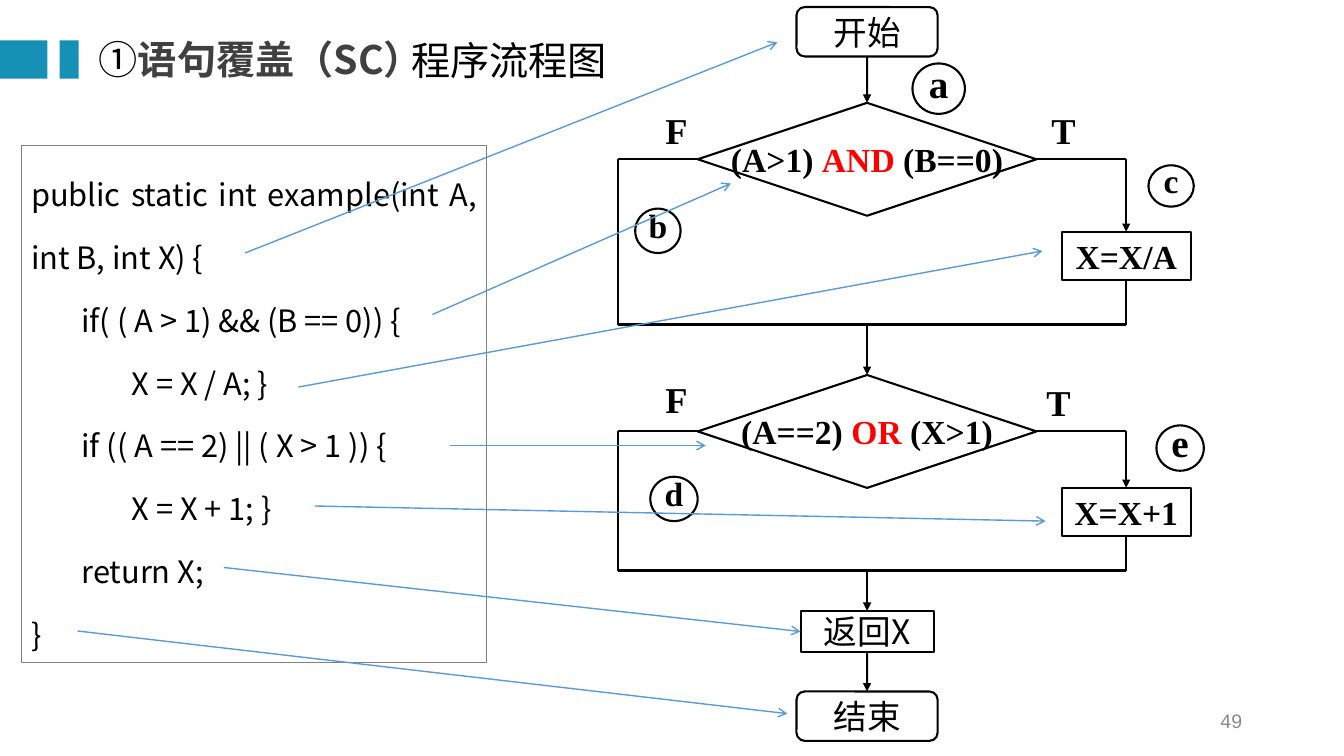
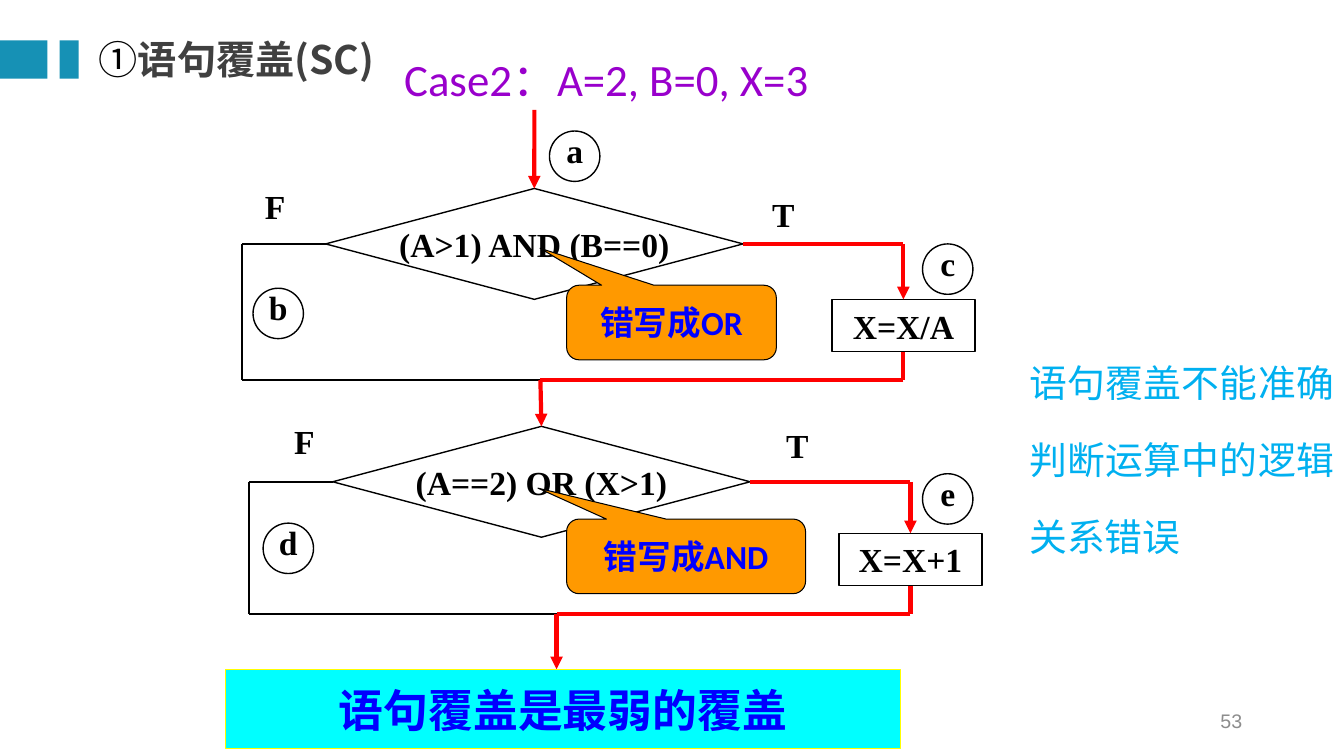
from dataclasses import dataclass

from lxml.etree import SubElement
from pptx import Presentation
from pptx.dml.color import RGBColor
from pptx.enum.shapes import MSO_CONNECTOR, MSO_SHAPE
from pptx.enum.text import MSO_ANCHOR, PP_ALIGN
from pptx.oxml.ns import qn
from pptx.util import Inches, Pt

BLACK = RGBColor(0x00, 0x00, 0x00)
WHITE = RGBColor(0xFF, 0xFF, 0xFF)
RED = RGBColor(0xFF, 0x00, 0x00)
BLUE = RGBColor(0x00, 0x00, 0xFF)
TEAL = RGBColor(0x16, 0x91, 0xB5)
DARK = RGBColor(0x40, 0x40, 0x40)
GRAY = RGBColor(0x80, 0x80, 0x80)
PAGE_GRAY = RGBColor(0x8C, 0x8C, 0x8C)
ARROW_BLUE = RGBColor(0x5B, 0x9B, 0xD5)
SKY = RGBColor(0x00, 0xB0, 0xF0)
PURPLE = RGBColor(0x99, 0x00, 0xCC)
ORANGE = RGBColor(0xFF, 0x99, 0x00)
CYAN = RGBColor(0x00, 0xFF, 0xFF)
YELLOW = RGBColor(0xFF, 0xFF, 0x00)

CJK = "Noto Sans CJK SC"
SERIF = "Times New Roman"
TOP, LEFT, BOTTOM, RIGHT = range(4)


@dataclass
class FlowStyle:
    """Measures of a decision stage, relative to its top left corner."""
    diamond_dx: float
    diamond_w: float
    diamond_h: float
    column_dx: float
    action_w: float
    action_h: float
    width: float
    label_size: int
    true_color: RGBColor
    true_width: float


CODE_FLOW = FlowStyle(0.79, 3.36, 1.12, 5.04, 1.28, 0.48, 1.5, 26, BLACK, 1.5)
CASE_FLOW = FlowStyle(0.83, 4.14, 1.1, 6.56, 1.42, 0.52, 1, 24, RED, 3)


# Basic parts
def set_font(font, name, size=None, color=None, bold=None):
    font.name, font.bold = name, bold
    if size:
        font.size = Pt(size)
    if color is not None:
        font.color.rgb = color
    SubElement(font._rPr, qn("a:ea")).set("typeface", CJK)


def write(sp, text, name, size, color, bold=None, align=PP_ALIGN.LEFT,
          anchor=MSO_ANCHOR.TOP, wrap=True, insets=None):
    """Text is a string, or a list of (string, colour) runs."""
    tf = sp.text_frame
    tf.word_wrap, tf.vertical_anchor = wrap, anchor
    if insets:
        (tf.margin_left, tf.margin_top,
         tf.margin_right, tf.margin_bottom) = map(Inches, insets)
    p = tf.paragraphs[0]
    p.alignment = align
    if isinstance(text, str):
        p.text = text
        set_font(p.font, name, size, color, bold)
    else:
        set_font(p.font, name, size, None, bold)
        for part, part_color in text:
            r = p.add_run()
            r.text = part
            r.font.color.rgb = part_color
    return p


def add_box(s, kind, x, y, w, h, fill=None, line=None, width=1):
    sp = s.shapes.add_shape(kind, Inches(x), Inches(y), Inches(w), Inches(h))
    sp.shadow.inherit = False
    if fill is None:
        sp.fill.background()
    else:
        sp.fill.solid()
        sp.fill.fore_color.rgb = fill
    if line is None:
        sp.line.fill.background()
    else:
        sp.line.color.rgb = line
        sp.line.width = Pt(width)
    return sp


def add_text(s, x, y, w, h, text, name, size, color, **options):
    sp = s.shapes.add_textbox(Inches(x), Inches(y), Inches(w), Inches(h))
    return write(sp, text, name, size, color, **options)


def add_node(s, kind, x, y, w, h, text, name, width, bold=None):
    sp = add_box(s, kind, x, y, w, h, line=BLACK, width=width)
    write(sp, text, name, 24, BLACK, bold, PP_ALIGN.CENTER, MSO_ANCHOR.MIDDLE, wrap=False)
    return sp


def add_line(s, x1, y1, x2, y2, color, width, head=None, start=None, end=None):
    """Start and end are optional (shape, side) joints."""
    c = s.shapes.add_connector(MSO_CONNECTOR.STRAIGHT, Inches(x1), Inches(y1),
                               Inches(x2), Inches(y2))
    c.line.color.rgb = color
    c.line.width = Pt(width)
    if head:
        SubElement(c.line._get_or_add_ln(), qn("a:tailEnd")).set("type", head)
    SubElement(c._element.spPr, qn("a:effectLst"))
    if start:
        c.begin_connect(*start)
    if end:
        c.end_connect(*end)


# Parts on every slide
def add_frame(s, title, page):
    for x, w in ((0, 0.47), (0.59, 0.19)):
        add_box(s, MSO_SHAPE.RECTANGLE, x, 0.4, w, 0.38, fill=TEAL)
    sp = s.shapes.add_textbox(Inches(0.98), Inches(0.31), Inches(8.07), Inches(0.55))
    p = write(sp, [("①", BLACK), (title, DARK)], "Lato", 28, None,
              anchor=MSO_ANCHOR.MIDDLE, insets=(0, 0, 0, 0))
    set_font(p.runs[1].font, CJK, color=DARK, bold=True)
    add_text(s, 9.42, 6.95, 3, 0.4, page, "Arial", 14, PAGE_GRAY,
             align=PP_ALIGN.RIGHT, anchor=MSO_ANCHOR.MIDDLE)


# One decision with its false branch, true branch and action
def add_stage(s, x, y, style, depth, action_dy, merge_x, condition, action,
              false_at, true_at, marks):
    left = x + style.diamond_dx
    right = left + style.diamond_w
    mid, bottom = y + style.diamond_h / 2, y + depth
    column, action_y = x + style.column_dx, y + action_dy

    diamond = add_node(s, MSO_SHAPE.DIAMOND, left, y, style.diamond_w, style.diamond_h,
                       condition, SERIF, style.width, True)
    box = add_node(s, MSO_SHAPE.RECTANGLE, column - style.action_w / 2, action_y,
                   style.action_w, style.action_h, action, SERIF, style.width, True)

    plain = (BLACK, style.width)
    add_line(s, left, mid, x, mid, *plain, start=(diamond, LEFT))
    add_line(s, x, mid, x, bottom, *plain)
    add_line(s, x, bottom, merge_x, bottom, *plain)

    taken = (style.true_color, style.true_width)
    add_line(s, right, mid, column, mid, *taken, start=(diamond, RIGHT))
    add_line(s, column, mid, column, action_y, *taken, "triangle", end=(box, TOP))
    add_line(s, column, action_y + style.action_h, column, bottom, *taken,
             start=(box, BOTTOM))
    add_line(s, column, bottom, merge_x, bottom, *taken)

    for label, (dx, dy) in (("F", false_at), ("T", true_at)):
        add_text(s, x + dx, y + dy, 0.47, 0.53, label, SERIF, style.label_size, BLACK,
                 bold=True)
    for letter, dx, dy, w, h, size in marks:
        sp = add_box(s, MSO_SHAPE.OVAL, x + dx, y + dy, w, h, WHITE, BLACK, style.width)
        write(sp, letter, SERIF, size, BLACK, True, PP_ALIGN.CENTER, MSO_ANCHOR.MIDDLE,
              wrap=False, insets=(0, 0, 0, 0.12))
    return diamond


def add_code(s, x, y, w, h):
    lines = [(0, "public static int example(int A, int B, int X) {"),
             (1, "if( ( A > 1) && (B == 0)) {"),
             (2, "X = X / A; }"),
             (1, "if (( A == 2) || ( X > 1 )) {"),
             (2, "X = X + 1; }"),
             (1, "return X;"),
             (0, "}")]
    sp = add_box(s, MSO_SHAPE.RECTANGLE, x, y, w, h, line=GRAY, width=0.75)
    tf = sp.text_frame
    tf.word_wrap, tf.vertical_anchor = True, MSO_ANCHOR.TOP
    for i, (depth, text) in enumerate(lines):
        p = tf.add_paragraph() if i else tf.paragraphs[0]
        p.text = text
        p.alignment, p.line_spacing = PP_ALIGN.JUSTIFY, 1.7
        p._p.get_or_add_pPr().set("marL", str(Inches(depth / 2)))
        set_font(p.font, CJK, 22, BLACK)


def add_code_flow(s, x, y):
    """Returns the box of the return statement."""
    axis = x + 2.47
    ends = [add_node(s, MSO_SHAPE.ROUNDED_RECTANGLE, axis - 0.7, y + dy, 1.4, 0.49,
                     text, CJK, 1.5) for dy, text in ((0, "开始"), (6.79, "结束"))]
    back = add_node(s, MSO_SHAPE.RECTANGLE, axis - 0.66, y + 5.99, 1.32, 0.41,
                    "返回X", CJK, 1.5)
    first = add_stage(
        s, x, y + 0.95, CODE_FLOW, 2.2, 1.28, axis,
        [("(A>1) ", BLACK), ("AND ", RED), ("(B==0)", BLACK)], "X=X/A",
        (0.37, 0), (4.2, 0),
        [("a", 2.92, -0.39, 0.52, 0.5, 28), ("b", 0.17, 1.05, 0.45, 0.44, 24),
         ("c", 5.26, 0.62, 0.45, 0.41, 24)])
    second = add_stage(
        s, x, y + 3.65, CODE_FLOW, 1.94, 1.12, axis,
        [("(A==2) ", BLACK), ("OR", RED), (" (X>1)", BLACK)], "X=X+1",
        (0.37, -0.03), (4.15, 0),
        [("d", 0.32, 1.01, 0.47, 0.44, 24), ("e", 5.34, 0.5, 0.47, 0.45, 28)])
    for y1, y2, start, end in (
            (0.49, 0.95, (ends[0], BOTTOM), (first, TOP)),
            (3.15, 3.65, None, (second, TOP)),
            (5.59, 5.99, None, (back, TOP)),
            (6.4, 6.79, (back, BOTTOM), (ends[1], TOP))):
        add_line(s, axis, y + y1, axis, y + y2, BLACK, 1.5, "triangle", start, end)
    return back


def add_callout(s, x, y, w, text, tip):
    sp = add_box(s, MSO_SHAPE.ROUNDED_RECTANGULAR_CALLOUT, x, y, w, 0.74,
                 ORANGE, BLACK, 0.75)
    sp.adjustments[0], sp.adjustments[1] = tip
    write(sp, text, "Calibri", 24, BLUE, True, PP_ALIGN.CENTER, MSO_ANCHOR.MIDDLE,
          insets=(0, 0, 0, 0))


def add_case_flow(s, x, y):
    merge, leave = x + 2.96, x + 3.12
    first = add_stage(
        s, x, y + 0.78, CASE_FLOW, 1.9, 1.1, merge, "(A>1) AND (B==0)", "X=X/A",
        (0.13, -0.07), (5.16, 0),
        [("a", 3.05, -0.57, 0.5, 0.5, 24), ("b", 0.11, 0.99, 0.5, 0.5, 24),
         ("c", 6.75, 0.55, 0.5, 0.5, 24)])
    second = add_stage(
        s, x + 0.07, y + 3.14, CASE_FLOW, 1.86, 1.06, leave, "(A==2) OR (X>1)", "X=X+1",
        (0.35, -0.1), (5.23, -0.06),
        [("d", 0.14, 0.96, 0.5, 0.5, 24), ("e", 6.68, 0.47, 0.5, 0.5, 24)])
    for at, y1, y2, end in ((x + 2.9, 0, 0.78, (first, TOP)),
                            (merge, 2.68, 3.14, (second, TOP)),
                            (leave, 5, 5.55, None)):
        add_line(s, at, y + y1, at, y + y2, RED, 3, "triangle", end=end)
    add_callout(s, x + 3.22, y + 1.74, 2.08, "错写成OR", (-0.627, -0.996))
    add_callout(s, x + 3.22, y + 4.06, 2.37, "错写成AND", (-0.62, -0.915))


# Slides
def code_slide(prs):
    s = prs.slides.add_slide(prs.slide_layouts[6])
    add_frame(s, "语句覆盖（SC）", "49")
    add_text(s, 3.98, 0.31, 2.97, 0.57, "程序流程图", CJK, 28, BLACK)
    add_code(s, 0.21, 1.44, 4.62, 5.13)
    back = add_code_flow(s, 6.13, 0.07)
    # From each code line to its step
    for x1, y1, x2, y2, end in (
            (2.43, 2.51, 7.71, 0.42, None),
            (4.29, 3.12, 7.25, 1.82, None),
            (2.96, 3.84, 10.34, 2.49, None),
            (4.46, 4.42, 7, 4.42, None),
            (3.12, 5.02, 10.37, 5.17, None),
            (2.22, 5.63, 7.94, 6.26, (back, LEFT)),
            (0.77, 6.26, 7.81, 7.08, None)):
        add_line(s, x1, y1, x2, y2, ARROW_BLUE, 1, "arrow", end=end)


def case_slide(prs):
    s = prs.slides.add_slide(prs.slide_layouts[6])
    add_frame(s, "语句覆盖(SC)", "53")
    p = add_text(s, 3.91, 0.13, 6.69, 0.97, "Case2：A=2, B=0, X=3", "Calibri", 32, PURPLE,
                 anchor=MSO_ANCHOR.BOTTOM)
    p.line_spacing = 0.9
    add_case_flow(s, 2.4, 1.09)
    # Conclusions
    sp = add_box(s, MSO_SHAPE.RECTANGLE, 2.24, 6.64, 6.69, 0.79, CYAN, YELLOW, 0.75)
    write(sp, "语句覆盖是最弱的覆盖", "Lato", 32, BLUE, True, PP_ALIGN.CENTER,
          MSO_ANCHOR.MIDDLE)
    p = add_text(s, 10.11, 3.2, 3.22, 2.42, "语句覆盖不能准确判断运算中的逻辑关系错误",
                 CJK, 27, SKY, align=PP_ALIGN.JUSTIFY)
    p.line_spacing = 1.7


def main():
    prs = Presentation()
    prs.slide_width, prs.slide_height = Inches(13.33), Inches(7.5)
    code_slide(prs)
    case_slide(prs)
    prs.save("out.pptx")


if __name__ == "__main__":
    main()
